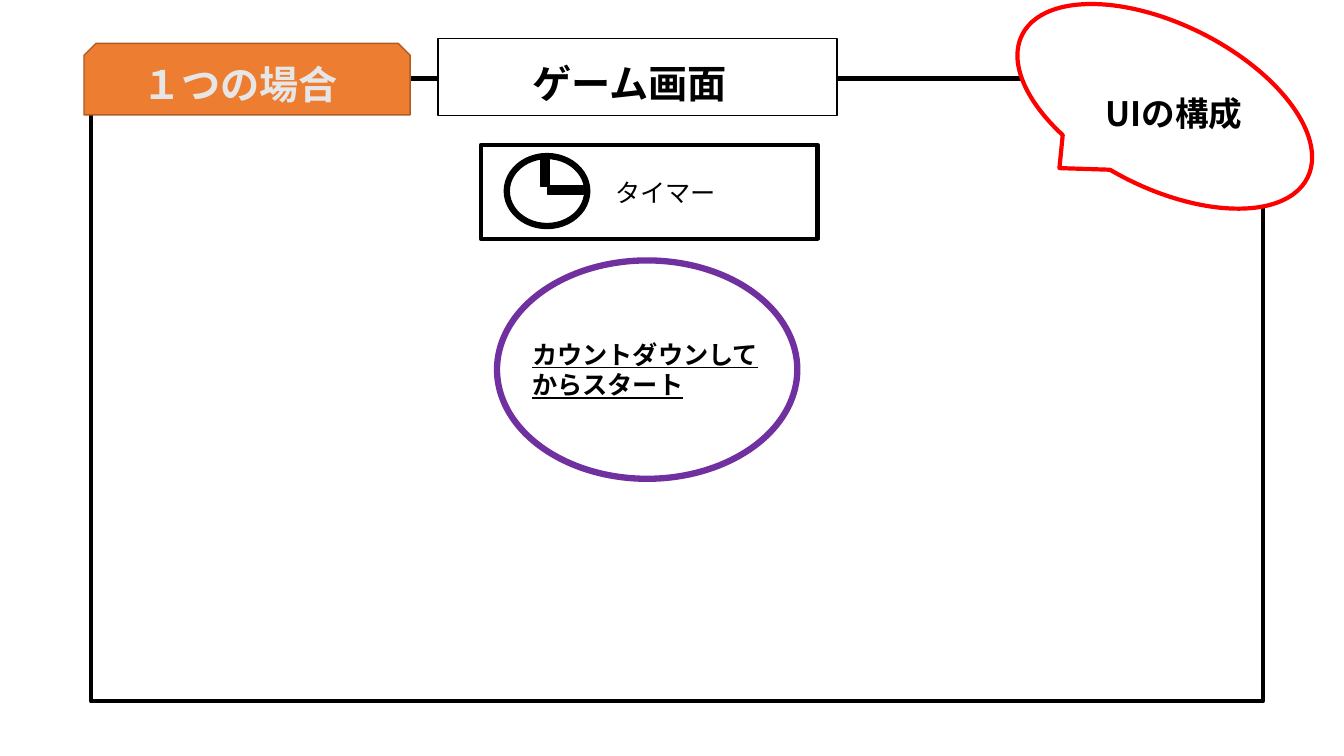
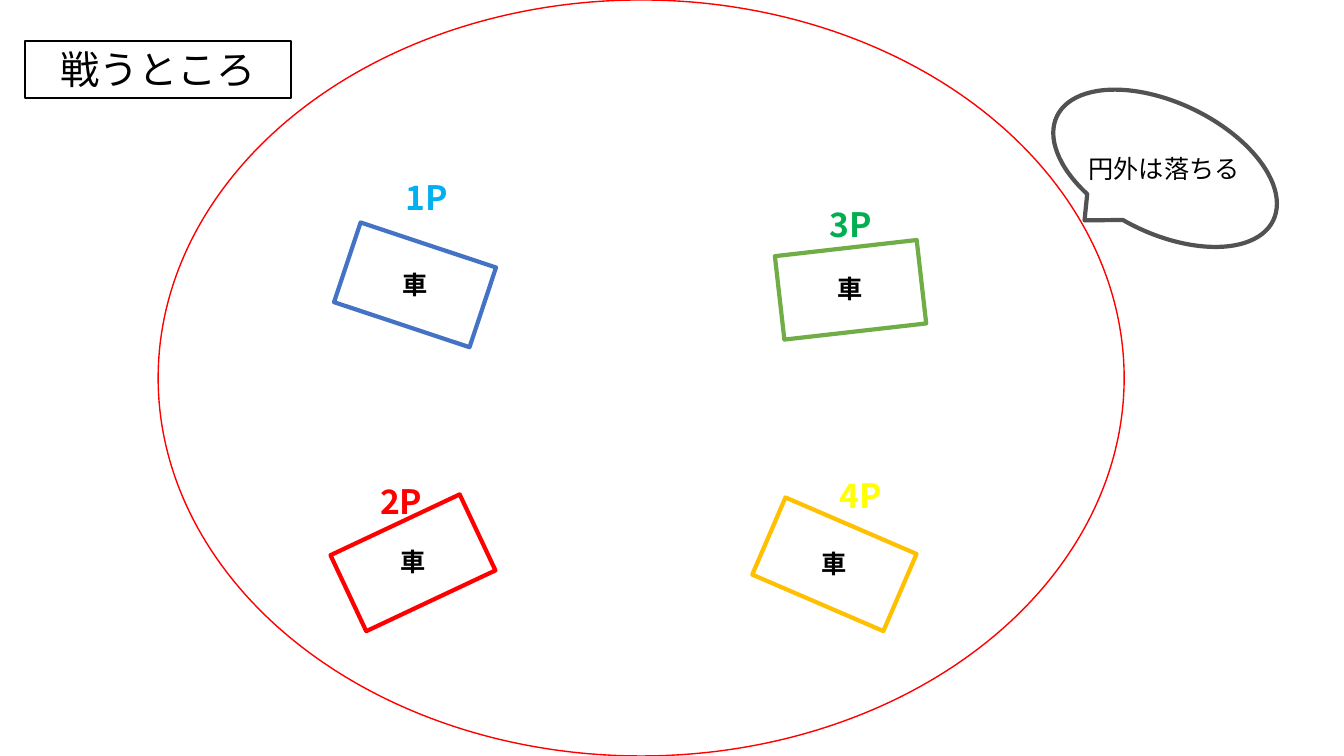
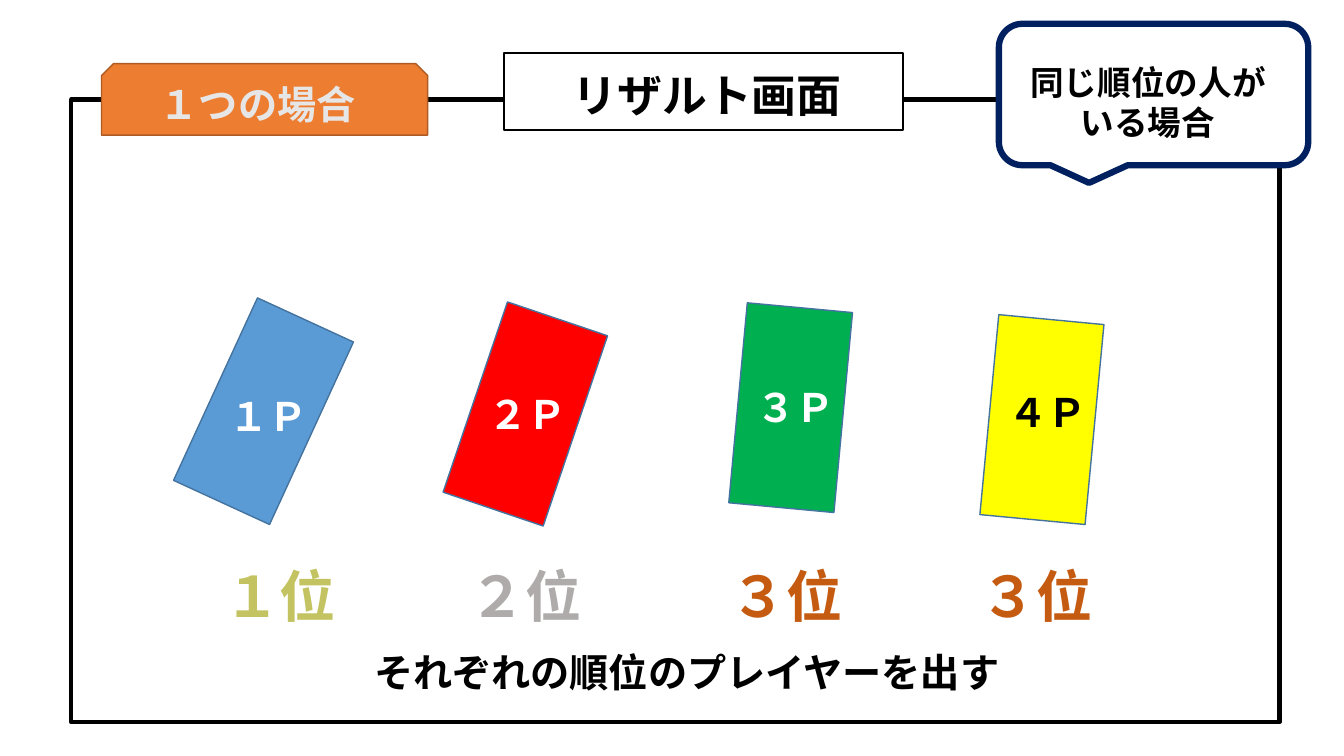
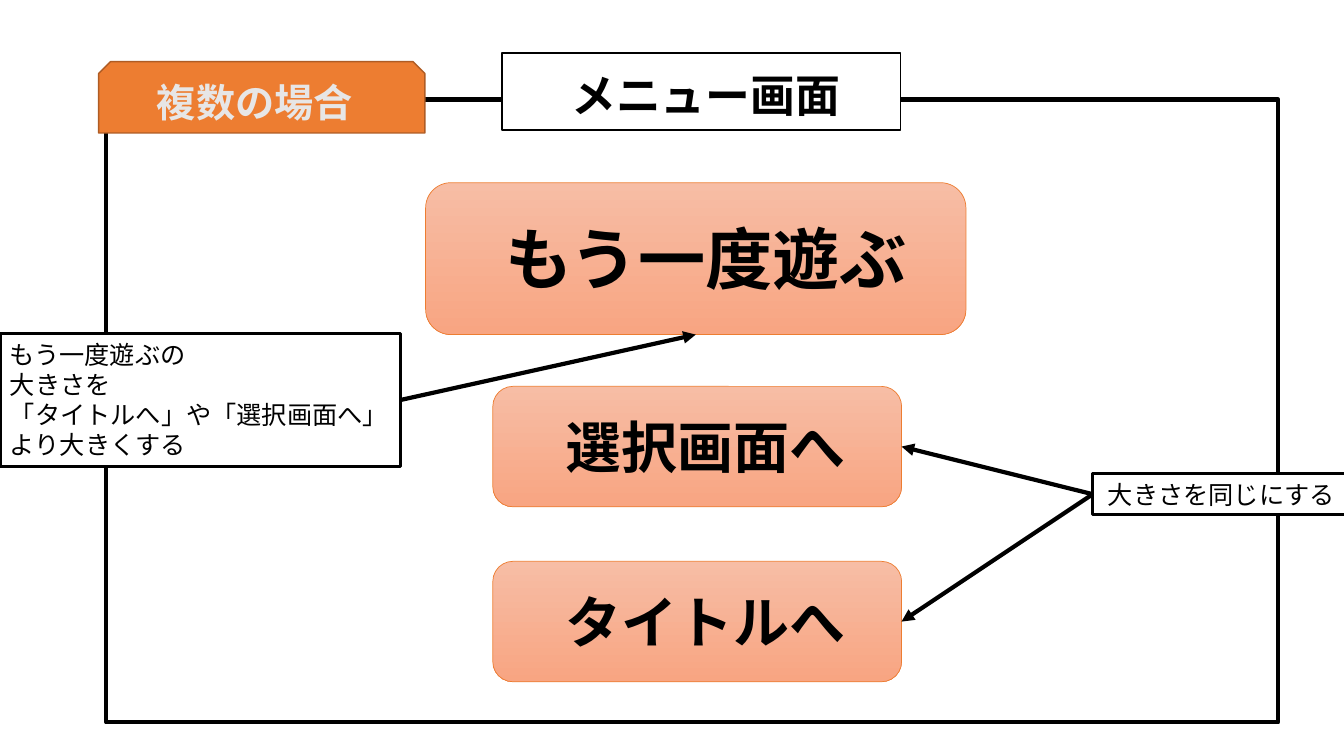
from lxml.etree import SubElement
from pptx import Presentation
from pptx.dml.color import RGBColor
from pptx.enum.shapes import MSO_CONNECTOR, MSO_SHAPE
from pptx.enum.text import MSO_ANCHOR, MSO_AUTO_SIZE, PP_ALIGN
from pptx.oxml.ns import qn
from pptx.util import Pt

FONT = "Noto Sans CJK JP"
BLACK = RGBColor(0x00, 0x00, 0x00)
WHITE = RGBColor(0xFF, 0xFF, 0xFF)
RED = RGBColor(0xFF, 0x00, 0x00)
GREEN = RGBColor(0x00, 0xB0, 0x50)
YELLOW = RGBColor(0xFF, 0xFF, 0x00)
SKY = RGBColor(0x00, 0xB0, 0xF0)
PURPLE = RGBColor(0x70, 0x30, 0xA0)
NAVY = RGBColor(0x00, 0x20, 0x60)
ORANGE = RGBColor(0xED, 0x7D, 0x31)
ORANGE_EDGE = RGBColor(0xAF, 0x5C, 0x24)
TAB_TEXT = RGBColor(0xE7, 0xE6, 0xE6)
DARK_GRAY = RGBColor(0x52, 0x52, 0x52)
CAR_BLUE = RGBColor(0x44, 0x72, 0xC4)
CAR_GREEN = RGBColor(0x70, 0xAD, 0x47)
CAR_GOLD = RGBColor(0xFF, 0xC0, 0x00)
CARD_BLUE = RGBColor(0x5B, 0x9B, 0xD5)
CARD_EDGE = RGBColor(0x43, 0x73, 0x9E)
GOLD_RANK = RGBColor(0xC3, 0xC3, 0x61)
SILVER_RANK = RGBColor(0xAF, 0xAB, 0xAB)
BRONZE_RANK = RGBColor(0xC5, 0x5A, 0x11)
SILVER_EDGE = RGBColor(0x80, 0x80, 0x80)
PALE_EDGE = RGBColor(0xD6, 0xDC, 0xE5)
BUTTON_TOP = RGBColor(0xF7, 0xBD, 0xA5)
BUTTON_BOTTOM = RGBColor(0xF8, 0xA5, 0x82)

LEFT_SITE, BOTTOM_SITE, RIGHT_SITE = 1, 2, 3


class Deck:
    """Game screen slides drawn with one shared style, in points."""

    def __init__(self):
        self.presentation = Presentation()
        self.presentation.slide_width = Pt(960)
        self.presentation.slide_height = Pt(540)
        self.slide = None

    def new_slide(self):
        layout = self.presentation.slide_layouts[6]
        self.slide = self.presentation.slides.add_slide(layout)

    def paint(self, shape, fill, line, width):
        if fill is None:
            shape.fill.background()
        else:
            shape.fill.solid()
            shape.fill.fore_color.rgb = fill
        if line is None:
            shape.line.fill.background()
        else:
            shape.line.color.rgb = line
            shape.line.width = Pt(width)

    def shape(self, kind, box, fill=None, line=BLACK, width=1, rotation=0):
        shape = self.slide.shapes.add_shape(kind, *map(Pt, box))
        shape.shadow.inherit = False
        shape.rotation = rotation
        self.paint(shape, fill, line, width)
        return shape

    def text(self, box, text, size, color=BLACK, bold=True, align=PP_ALIGN.CENTER,
             underline=None, outline=None, fill=None, line=None, width=1):
        shape = self.slide.shapes.add_textbox(*map(Pt, box))
        self.paint(shape, fill, line, width)
        frame = shape.text_frame
        frame.word_wrap = True
        frame.auto_size = MSO_AUTO_SIZE.SHAPE_TO_FIT_TEXT
        frame.vertical_anchor = MSO_ANCHOR.TOP
        frame.text = text
        for paragraph in frame.paragraphs:
            paragraph.alignment = align
            for run in paragraph.runs:
                self.format_run(run, size, color, bold, underline, outline)
        return shape

    def format_run(self, run, size, color, bold, underline, outline):
        font = run.font
        font.name = FONT
        font.size = Pt(size)
        font.bold = bold
        font.underline = underline
        font.color.rgb = color
        properties = run._r.get_or_add_rPr()
        SubElement(properties, qn("a:ea"), typeface=FONT)
        if outline is not None:
            edge = SubElement(properties, qn("a:ln"), w=str(Pt(0.75)))
            solid = SubElement(edge, qn("a:solidFill"))
            SubElement(solid, qn("a:srgbClr"), val=str(outline))
            properties.insert(0, edge)

    def frame(self, left, top, width):
        self.shape(MSO_SHAPE.RECTANGLE, (left, top, width, 445), width=3)

    def tab(self, left, top, text):
        self.shape(MSO_SHAPE.SNIP_2_SAME_RECTANGLE, (left, top, 233, 51), ORANGE, ORANGE_EDGE)
        self.text((left + 8, top + 8.5, 207, 41), text, 28, TAB_TEXT)

    def title(self, left, top, text, text_box, size, align):
        self.shape(MSO_SHAPE.RECTANGLE, (left, top, 285, 55), WHITE)
        self.text(text_box, text, size, align=align)

    def car(self, left, top, rotation, color):
        self.shape(MSO_SHAPE.RECTANGLE, (left, top, 102, 60), WHITE, color, 3, rotation)
        self.text((left + 28, top + 15, 46, 29), "車", 18)

    def button(self, box, text, text_box, size):
        shape = self.shape(MSO_SHAPE.ROUNDED_RECTANGLE, box, line=ORANGE, width=0.5)
        shape.fill.gradient()
        shape.fill.gradient_angle = 270
        for stop, color in zip(shape.fill.gradient_stops, (BUTTON_TOP, BUTTON_BOTTOM)):
            stop.color.rgb = color
        self.text(text_box, text, size)
        return shape

    def arrow(self, source, source_site, target, target_site):
        connector = self.slide.shapes.add_connector(MSO_CONNECTOR.STRAIGHT, 0, 0, 0, 0)
        connector.begin_connect(source, source_site)
        connector.end_connect(target, target_site)
        connector.line.color.rgb = BLACK
        connector.line.width = Pt(3)
        properties = connector._element.spPr
        SubElement(properties.find(qn("a:ln")), qn("a:tailEnd"), type="triangle")
        SubElement(properties, qn("a:effectLst"))


def game_slide(deck):
    deck.new_slide()
    deck.frame(65, 56, 837)
    deck.tab(60, 31, "１つの場合")
    deck.title(313, 27.5, "ゲーム画面", (309, 39, 281, 41), 28, PP_ALIGN.CENTER)
    deck.shape(MSO_SHAPE.FLOWCHART_PROCESS, (343.5, 103.5, 240.5, 67), width=3)
    deck.text((420, 123, 111, 29), "タイマー", 18, bold=False)
    deck.shape(MSO_SHAPE.OVAL, (362, 111.5, 57.5, 50), width=4.5)
    for hand in ((386, 114, 6.5, 19), (391.5, 132.5, 25, 6.5)):
        deck.shape(MSO_SHAPE.RECTANGLE, hand, BLACK)
    deck.shape(MSO_SHAPE.OVAL_CALLOUT, (718, 17.5, 228, 117), WHITE, RED, 3, 26.6)
    deck.text((782.5, 62.5, 120, 36), "UIの構成", 24, align=PP_ALIGN.LEFT, fill=WHITE)
    deck.shape(MSO_SHAPE.OVAL, (355, 186, 214.5, 156), line=PURPLE, width=4.5)
    deck.text((373, 238.5, 180, 51), "カウントダウンしてからスタート", 18,
              align=PP_ALIGN.LEFT, underline=True)


def arena_slide(deck):
    deck.new_slide()
    deck.shape(MSO_SHAPE.OVAL, (113, 0, 690, 540), line=RED)
    cars = (
        (245.5, 173.5, 18.4, CAR_BLUE),
        (244, 372, 334.8, RED),
        (556.5, 177, 173.5, CAR_GREEN),
        (545, 373, 203.3, CAR_GOLD),
    )
    for car in cars:
        deck.car(*car)
    players = (
        (273, 122.5, "1P", SKY),
        (255, 340, "2P", RED),
        (576, 142, "3P", GREEN),
        (583, 335.5, "4P", YELLOW),
    )
    for left, top, name, color in players:
        deck.text((left, top, 63, 36), name, 24, color, outline=BLACK)
    deck.text((18, 29, 190, 41), "戦うところ", 28, bold=False, line=BLACK, width=1.5)
    deck.shape(MSO_SHAPE.OVAL_CALLOUT, (746.5, 73.5, 171.5, 93.5),
               line=DARK_GRAY, width=3, rotation=25.7)
    deck.text((770.5, 106, 133, 29), "円外は落ちる", 18, bold=False, align=PP_ALIGN.LEFT)


def result_slide(deck):
    deck.new_slide()
    deck.frame(51, 71, 863)
    deck.tab(72.5, 45.5, "１つの場合")
    deck.title(360, 38, "リザルト画面", (402, 44.5, 208, 46), 32, PP_ALIGN.LEFT)
    ranks = (
        (129, "１位", GOLD_RANK, WHITE),
        (304.5, "２位", SILVER_RANK, SILVER_EDGE),
        (490.5, "３位", BRONZE_RANK, PALE_EDGE),
        (669.5, "３位", BRONZE_RANK, PALE_EDGE),
    )
    for left, rank, color, outline in ranks:
        deck.text((left, 397.5, 142, 55.5), rank, 40, color, outline=outline)
    cards = (
        (150.5, 222, 24.7, CARD_BLUE, "１Ｐ", 154, 277, WHITE),
        (337.5, 224, 18.7, RED, "２Ｐ", 339, 275, WHITE),
        (527, 219.5, 5.3, GREEN, "３Ｐ", 530.5, 270.5, WHITE),
        (706.5, 228, 5.4, YELLOW, "４Ｐ", 710.5, 273.5, BLACK),
    )
    for left, top, rotation, fill, name, name_left, name_top, color in cards:
        deck.shape(MSO_SHAPE.RECTANGLE, (left, top, 75.5, 143.5), fill, CARD_EDGE,
                   rotation=rotation)
        deck.text((name_left, name_top, 75.5, 41), name, 28, color)
    deck.text((212.5, 459.5, 556, 41), "それぞれの順位のプレイヤーを出す", 28)
    deck.shape(MSO_SHAPE.ROUNDED_RECTANGULAR_CALLOUT, (713.5, 17, 221, 101), WHITE, NAVY, 4.5)
    deck.text((726.5, 40.5, 187, 65.5), "同じ順位の人がいる場合", 24, outline=PALE_EDGE)


def menu_slide(deck):
    deck.new_slide()
    deck.frame(76, 71, 837)
    deck.title(358.5, 38, "メニュー画面", (401, 44.5, 208, 46), 32, PP_ALIGN.LEFT)
    deck.tab(70.5, 44, "複数の場合")
    replay = deck.button((304, 130.5, 386, 108.5), "もう一度遊ぶ", (348, 152, 313, 65.5), 48)
    select, home = [
        deck.button((352, top, 292, 86), text, (369.5, top + 15, 268.5, 55.5), 40)
        for top, text in ((276, "選択画面へ"), (401, "タイトルへ"))
    ]
    replay_note = deck.text(
        (0, 238.5, 286, 94.5),
        "もう一度遊ぶの\n大きさを\n「タイトルへ」や「選択画面へ」より大きくする",
        18, bold=False, align=PP_ALIGN.LEFT, fill=WHITE, line=BLACK, width=2.25)
    size_note = deck.text((780.5, 338.5, 184, 29), "大きさを同じにする", 18, bold=False,
                          fill=WHITE, line=BLACK, width=2.25)
    deck.arrow(replay_note, RIGHT_SITE, replay, BOTTOM_SITE)
    for target in (select, home):
        deck.arrow(size_note, LEFT_SITE, target, RIGHT_SITE)


def main():
    deck = Deck()
    for build in (game_slide, arena_slide, result_slide, menu_slide):
        build(deck)
    deck.presentation.save("out.pptx")


if __name__ == "__main__":
    main()
